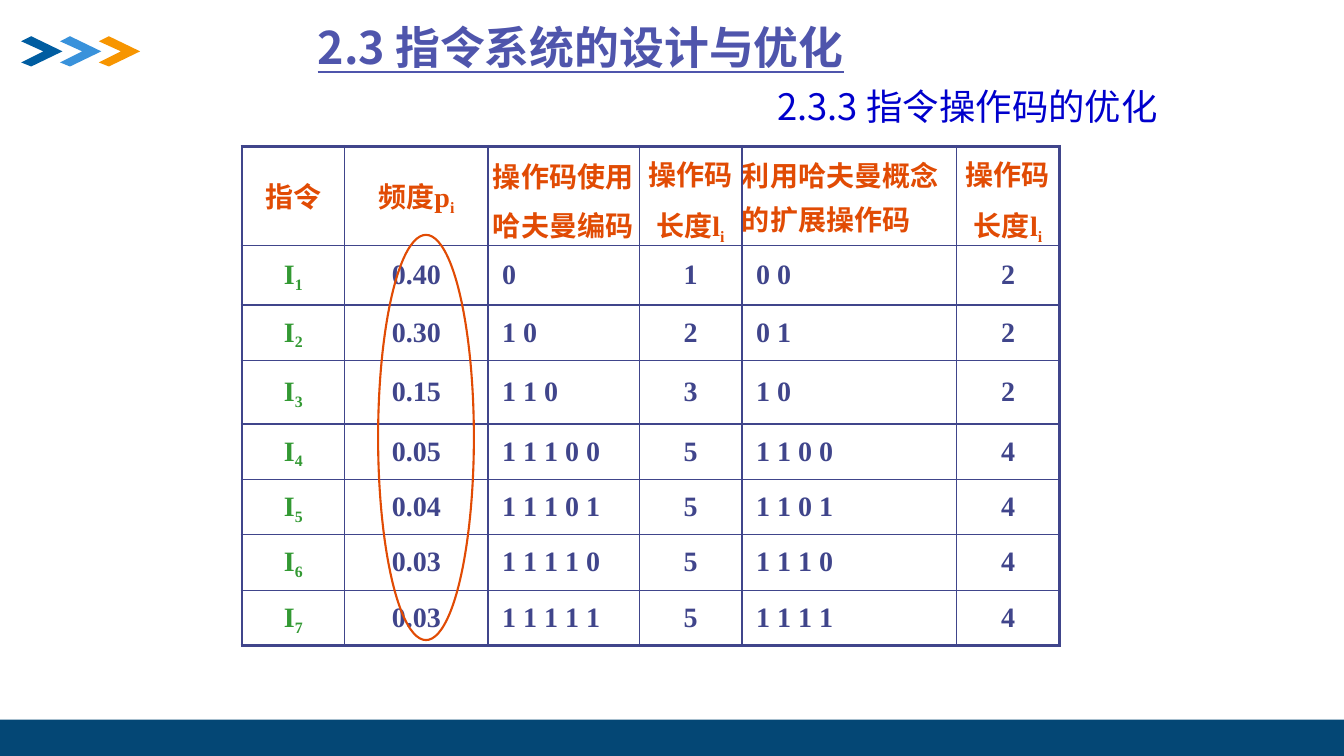
import pptx
import pptx.util
import pptx.dml.color
import pptx.enum.shapes
import pptx.enum.text
import pptx.oxml.ns
import lxml.etree

Inches = pptx.util.Inches
Pt = pptx.util.Pt
CENTER = pptx.enum.text.PP_ALIGN.CENTER
LEFT = pptx.enum.text.PP_ALIGN.LEFT

COLORS = {
    "deep": "005DA1", "sky": "3992DB", "amber": "F79500", "footer": "044775",
    "title": "4F55AC", "subtitle": "0000CC", "grid": "40458B",
    "heading": "E14B04", "instruction": "339933",
}
SANS = "Noto Sans CJK SC"
SERIF = "Times New Roman"
STYLES = {
    "title": {"name": SANS, "size": Pt(32), "bold": True, "underline": True, "color": "title"},
    "subtitle": {"name": SANS, "size": Pt(26), "bold": False, "color": "subtitle"},
    "heading": {"name": SANS, "size": Pt(20), "bold": True, "color": "heading"},
    "symbol": {"name": SERIF, "size": Pt(20), "bold": True, "color": "heading"},
    "symbol_sub": {"name": SERIF, "size": Pt(19.5), "bold": True, "color": "heading"},
    "instruction": {"name": SERIF, "size": Pt(20), "bold": True, "color": "instruction"},
    "instruction_sub": {"name": SERIF, "size": Pt(19.5), "bold": True, "color": "instruction"},
    "value": {"name": SERIF, "size": Pt(20), "bold": True, "color": "grid"},
}

TITLE = "2.3 指令系统的设计与优化"
SUBTITLE = "2.3.3 指令操作码的优化"

LENGTH_HEADING = {
    "top": 0.07,
    "lines": [
        {"runs": [("操作码", "heading")], "indent": 0.09},
        {"runs": [("长度", "heading"), ("l", "symbol"), ("i", "symbol_sub")],
         "indent": 0.17, "before": 7.2},
    ],
}
HEADINGS = [
    {"top": 0.29, "lines": [{"runs": [("指令", "heading")], "align": CENTER}]},
    {"top": 0.29, "lines": [
        {"runs": [("频度", "heading"), ("p", "symbol"), ("i", "symbol_sub")], "align": CENTER}]},
    {"top": 0.01, "lines": [
        {"runs": [("操作码使用哈夫曼编码", "heading")], "indent": 0.05, "spacing": 1.2}]},
    LENGTH_HEADING,
    {"top": 0.08, "lines": [
        {"runs": [("利用哈夫曼概念", "heading")]},
        {"runs": [("的扩展操作码", "heading")], "before": 2.4}]},
    LENGTH_HEADING,
]
ROWS = [
    ("0.40", "0", "1", "0 0", "2"),
    ("0.30", "1 0", "2", "0 1", "2"),
    ("0.15", "1 1 0", "3", "1 0", "2"),
    ("0.05", "1 1 1 0 0", "5", "1 1 0 0", "4"),
    ("0.04", "1 1 1 0 1", "5", "1 1 0 1", "4"),
    ("0.03", "1 1 1 1 0", "5", "1 1 1 0", "4"),
    ("0.03", "1 1 1 1 1", "5", "1 1 1 1", "4"),
]
CODE_COLUMNS = (2, 4)
COLUMN_WIDTHS = [1.02, 1.42, 1.5, 1.02, 2.13, 1.02]
ROW_HEIGHTS = [0.89, 0.59, 0.55, 0.63, 0.55, 0.55, 0.55, 0.55]
VALUE_LINE = 0.31

CHEVRON = [(0.1, 0), (0, 0.05), (0.22, 0.15), (0, 0.26), (0.1, 0.3), (0.41, 0.15)]
CHEVRON_COLORS = ["deep", "sky", "amber"]
CHEVRON_LEFT, CHEVRON_TOP, CHEVRON_STEP = 0.21, 0.36, 0.385


def rgb(name):
    return pptx.dml.color.RGBColor.from_string(COLORS[name])


def add_run(para, text, style):
    span = para.add_run()
    span.text = text
    for key, value in STYLES[style].items():
        if key == "color":
            span.font.color.rgb = rgb(value)
        else:
            setattr(span.font, key, value)
    properties = span._r.get_or_add_rPr()
    east_asian = lxml.etree.SubElement(properties, pptx.oxml.ns.qn("a:ea"))
    east_asian.set("typeface", STYLES[style]["name"])
    if style.endswith("_sub"):
        properties.set("baseline", "-21000")


def write_lines(frame, lines):
    for index, line in enumerate(lines):
        para = frame.add_paragraph() if index else frame.paragraphs[0]
        para.alignment = line.get("align", LEFT)
        para.line_spacing = line.get("spacing", 1.0)
        para.space_before = Pt(line.get("before", 0))
        if "indent" in line:
            para._p.get_or_add_pPr().set("marL", str(Inches(line["indent"])))
        for text, style in line["runs"]:
            add_run(para, text, style)


def set_frame(frame, left):
    settings = {
        "margin_left": Inches(left), "margin_top": Inches(0.01),
        "margin_right": 0, "margin_bottom": 0, "word_wrap": True,
        "vertical_anchor": pptx.enum.text.MSO_ANCHOR.TOP,
        "auto_size": pptx.enum.text.MSO_AUTO_SIZE.NONE,
    }
    for key, value in settings.items():
        setattr(frame, key, value)


def set_borders(cell, widths):
    properties = cell._tc.get_or_add_tcPr()
    for position, (side, width) in enumerate(widths.items()):
        border = lxml.etree.Element(pptx.oxml.ns.qn("a:ln" + side), w=str(Pt(width)))
        fill = lxml.etree.SubElement(border, pptx.oxml.ns.qn("a:solidFill"))
        lxml.etree.SubElement(fill, pptx.oxml.ns.qn("a:srgbClr"), val=COLORS["grid"])
        properties.insert(position, border)


def fill_cell(cell, lines, top):
    for key, value in {"left": 0, "top": Inches(top), "right": 0, "bottom": 0}.items():
        setattr(cell, "margin_" + key, value)
    cell.vertical_anchor = pptx.enum.text.MSO_ANCHOR.TOP
    cell.fill.background()
    write_lines(cell.text_frame, lines)


def value_line(column, runs):
    if column in CODE_COLUMNS:
        return {"runs": runs, "indent": 0.14}
    return {"runs": runs, "align": CENTER}


def add_chevrons(page):
    for index, color in enumerate(CHEVRON_COLORS):
        left = CHEVRON_LEFT + index * CHEVRON_STEP
        points = [(Inches(left + x), Inches(CHEVRON_TOP + y)) for x, y in CHEVRON]
        builder = page.shapes.build_freeform(*points[0])
        builder.add_line_segments(points[1:], close=True)
        finish_shape(builder.convert_to_shape(), color)


def finish_shape(shape, color):
    shape.shadow.inherit = False
    shape.fill.solid()
    shape.fill.fore_color.rgb = rgb(color)
    shape.line.fill.background()


def add_code_table(page):
    table = page.shapes.add_table(
        len(ROW_HEIGHTS), len(COLUMN_WIDTHS), Inches(2.4), Inches(1.45),
        Inches(sum(COLUMN_WIDTHS)), Inches(sum(ROW_HEIGHTS))).table
    table.first_row = table.horz_banding = False
    for column, width in zip(table.columns, COLUMN_WIDTHS):
        column.width = Inches(width)
    for row, height in zip(table.rows, ROW_HEIGHTS):
        row.height = Inches(height)

    for column, heading in enumerate(HEADINGS):
        fill_cell(table.cell(0, column), heading["lines"], heading["top"])
    for row, values in enumerate(ROWS, 1):
        name = [("I", "instruction"), (str(row), "instruction_sub")]
        entries = [name] + [[(value, "value")] for value in values]
        top = (ROW_HEIGHTS[row] - VALUE_LINE) / 2
        for column, runs in enumerate(entries):
            fill_cell(table.cell(row, column), [value_line(column, runs)], top)

    last_row, last_column = len(ROW_HEIGHTS) - 1, len(COLUMN_WIDTHS) - 1
    for row in range(last_row + 1):
        for column in range(last_column + 1):
            outer = {"L": column == 0, "R": column == last_column,
                     "T": row == 0, "B": row == last_row}
            set_borders(table.cell(row, column),
                        {side: 2.25 if edge else 1 for side, edge in outer.items()})


def main():
    deck = pptx.Presentation()
    deck.slide_width, deck.slide_height = Inches(13.33), Inches(7.5)
    page = deck.slides.add_slide(deck.slide_layouts[5])

    add_chevrons(page)
    footer = page.shapes.add_shape(pptx.enum.shapes.MSO_SHAPE.RECTANGLE, 0,
                                   Inches(7.14), Inches(13.33), Inches(0.36))
    finish_shape(footer, "footer")

    title = page.shapes.title
    title.left, title.top, title.width, title.height = map(Inches, (1.27, 0.19, 12.06, 0.56))
    set_frame(title.text_frame, 1.88)
    write_lines(title.text_frame, [{"runs": [(TITLE, "title")]}])

    add_code_table(page)

    oval = page.shapes.add_shape(pptx.enum.shapes.MSO_SHAPE.OVAL, Inches(3.75),
                                 Inches(2.33), Inches(0.95), Inches(4.02))
    oval.shadow.inherit = False
    oval.fill.background()
    oval.line.color.rgb = rgb("heading")
    oval.line.width = Pt(1.5)

    subtitle = page.shapes.add_textbox(Inches(7.7), Inches(0.82), Inches(4), Inches(0.46))
    set_frame(subtitle.text_frame, 0.01)
    write_lines(subtitle.text_frame, [{"runs": [(SUBTITLE, "subtitle")]}])

    deck.save("out.pptx")


if __name__ == "__main__":
    main()
